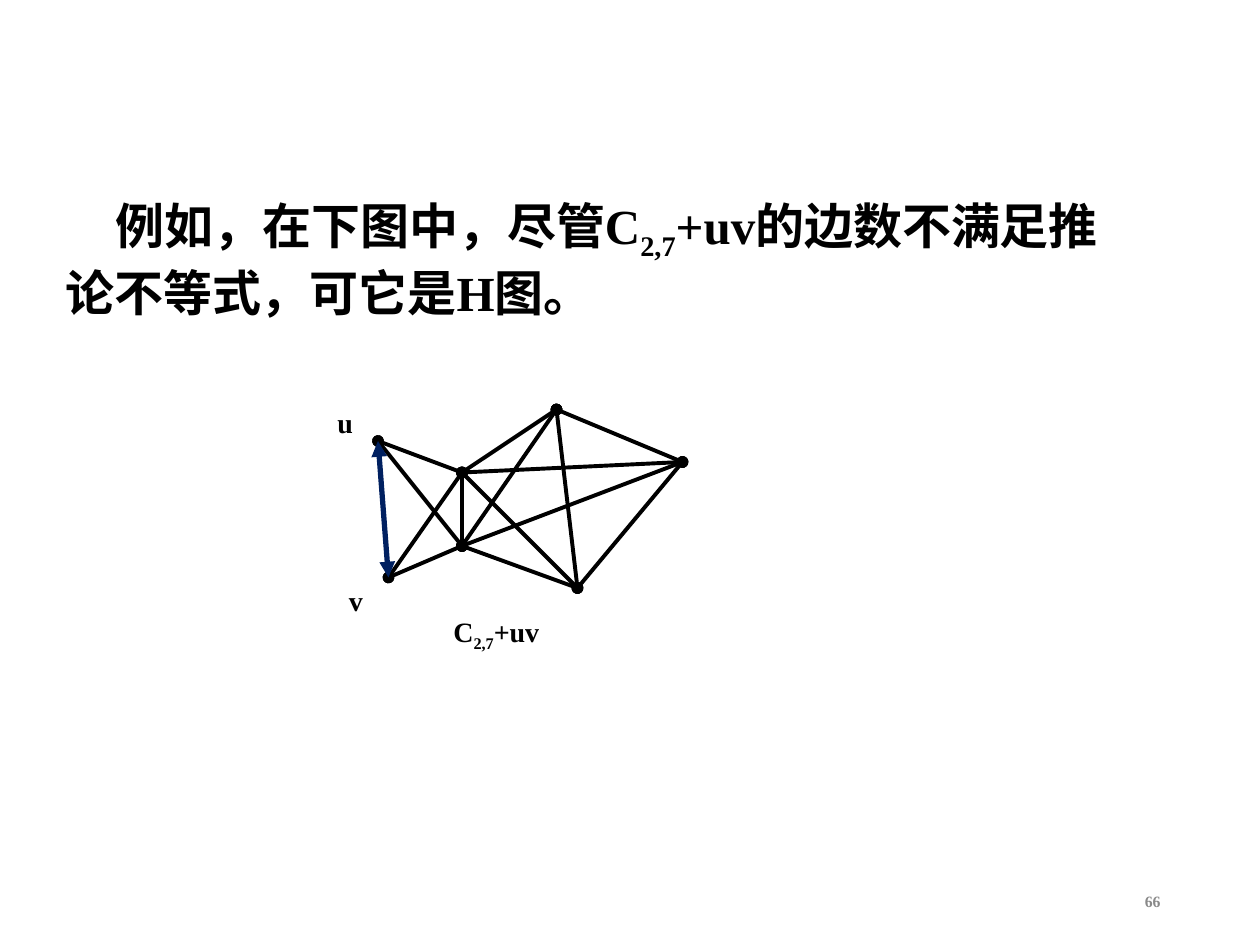
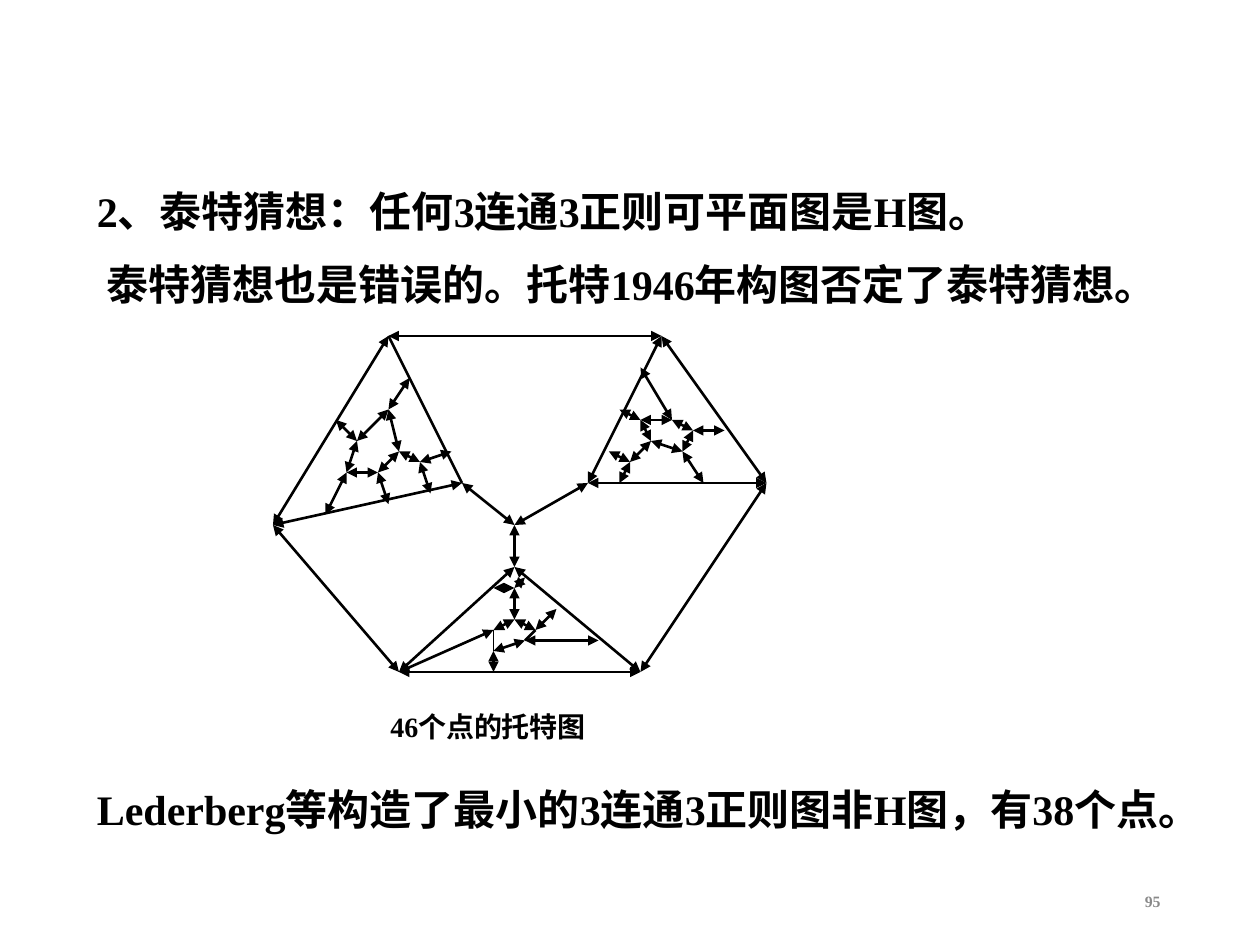
"""Build two slides on Hamiltonian graphs: C2,7+uv and the 46-vertex Tutte graph."""
from lxml import etree
from pptx import Presentation
from pptx import util as u
from pptx.dml.color import RGBColor
from pptx.enum import shapes, text
from pptx.oxml.ns import qn

COLORS = {"ink": "000000", "highlight": "002060", "number": "898989"}
FONT = "Times New Roman"
GRID = 12

C27_VERTICES = {
    "u": (36, 42), "v": (37, 55), "hub_up": (44, 45), "hub_low": (44, 52),
    "top": (53, 39), "right": (65, 44), "bottom": (55, 56),
}
C27_TRAILS = [
    ("u", "hub_up", "top", "right", "bottom", "hub_low", "v", "hub_up", "right", "hub_low", "u"),
    ("top", "bottom", "hub_up", "hub_low", "top"),
]

NW, NE, E, SE, SW, W = (37, 32), (63, 32), (73, 46), (61, 64), (38, 64), (26, 50)
LEFT, RIGHT, BOTTOM, CENTRE = (44, 46), (56, 46), (49, 54), (49, 50)
TUTTE_FRAME = [
    (NW, NE, E, SE, SW, W, NW),
    (W, LEFT, CENTRE, RIGHT, NE),
    (RIGHT, E),
    (CENTRE, BOTTOM, SW),
    (BOTTOM, SE),
]
LEFT_FRAGMENT = [
    ((32, 40), (34, 42), (37, 39), (38, 43), (36, 45), (33, 45), (34, 42)),
    ((37, 39), (39, 36)),
    ((38, 43), (40, 44), (43, 43)),
    ((40, 44), (41, 47)),
    ((36, 45), (37, 48)),
    ((33, 45), (31, 49)),
]
BOTTOM_FRAGMENT = [
    (SW, (47, 60), (49, 59), (51, 60), (53, 58)),
    ((47, 64), (47, 62), (50, 61), (57, 61)),
    ((49, 59), (49, 56), (47, 56)),
    ((49, 56), (50, 55)),
]
RIGHT_FRAGMENT = [
    ((58, 43), (60, 44), (62, 42), (61, 40), (64, 40), (66, 41), (69, 41)),
    ((60, 44), (59, 46)),
    ((62, 42), (65, 43), (66, 41)),
    ((65, 43), (67, 46)),
    ((61, 40), (59, 39)),
    ((64, 40), (61, 35)),
]


def write(frame, content, size=16, color="ink", align=None, indent=0):
    """Fill a text frame; parts between underscores become subscripts."""
    paragraph = frame.paragraphs[0]
    paragraph.alignment = align
    if indent:
        paragraph._p.get_or_add_pPr().set("indent", str(u.Inches(indent)))
    for index, part in enumerate(content.split("_")):
        run = paragraph.add_run()
        run.text = part
        run.font.name = FONT
        run.font.size = u.Pt(size)
        run.font.bold = True
        run.font.color.rgb = RGBColor.from_string(COLORS[color])
        if index % 2:
            run._r.get_or_add_rPr().set("baseline", "-25000")


class Deck:
    """Hold the presentation, its style and the current slide."""

    def __init__(self):
        """Start an empty 4:3 presentation."""
        self.show = Presentation()
        self.show.slide_width, self.show.slide_height = u.Inches(10), u.Inches(7.5)
        self.slide = None

    def page(self, number):
        """Add a blank slide with its page number."""
        self.slide = self.show.slides.add_slide(self.show.slide_layouts[6])
        frame = self.text((7.06, 6.95, 2.25, 0.4), str(number), grow=False,
                          size=9, color="number", align=text.PP_ALIGN.RIGHT)
        frame.vertical_anchor = text.MSO_ANCHOR.MIDDLE

    def text(self, place, content, grow=True, **style):
        """Add a wrapped text box."""
        frame = self.slide.shapes.add_textbox(*map(u.Inches, place)).text_frame
        frame.word_wrap = True
        frame.auto_size = text.MSO_AUTO_SIZE.SHAPE_TO_FIT_TEXT if grow else text.MSO_AUTO_SIZE.NONE
        write(frame, content, **style)
        return frame

    def edge(self, start, end, width=1.5, color="ink", tip=None):
        """Join two grid points, with the same tip at both ends."""
        places = [u.Inches(step / GRID) for step in (*start, *end)]
        edge = self.slide.shapes.add_connector(shapes.MSO_CONNECTOR.STRAIGHT, *places)
        edge.line.width = u.Pt(width)
        edge.line.color.rgb = RGBColor.from_string(COLORS[color])
        if tip:
            outline = edge.line._get_or_add_ln()
            for tag in ("a:headEnd", "a:tailEnd"):
                etree.SubElement(outline, qn(tag)).set("type", tip)
        etree.SubElement(edge._element.spPr, qn("a:effectLst"))

    def trails(self, trails, **style):
        """Draw the edges along each trail of points."""
        for trail in trails:
            for start, end in zip(trail, trail[1:]):
                self.edge(start, end, **style)


def c27_slide(deck):
    """Show C2,7+uv, with the added edge highlighted."""
    deck.page(66)
    deck.text((0.42, 1.5, 8.67, 1.1),
              "例如，在下图中，尽管C_2,7_+uv的边数不满足推论不等式，可它是H图。",
              size=28, indent=0.4)
    trails = [[C27_VERTICES[name] for name in trail] for trail in C27_TRAILS]
    deck.trails(trails, width=2.25, tip="oval")
    deck.edge(C27_VERTICES["u"], C27_VERTICES["v"], width=3, color="highlight", tip="triangle")
    deck.text((2.58, 3.17, 0.52, 0.37), "u")
    deck.text((2.67, 4.58, 0.52, 0.37), "v")
    deck.text((3.5, 4.83, 1.25, 0.41), "C_2,7_+uv")


def tutte_slide(deck):
    """Show the Tutte graph that refutes Tait's conjecture."""
    deck.page(95)
    deck.text((0.42, 1.42, 8.58, 0.5), "2、泰特猜想：任何3连通3正则可平面图是H图。",
              size=24, indent=0.25)
    deck.text((0.58, 2, 9, 0.5), "泰特猜想也是错误的。托特1946年构图否定了泰特猜想。",
              size=24, indent=0.17)
    for part in (TUTTE_FRAME, LEFT_FRAGMENT, BOTTOM_FRAGMENT, RIGHT_FRAGMENT):
        deck.trails(part, tip="triangle")
    deck.trails([(NW, LEFT), ((51, 60), (50, 61))])
    deck.edge((47, 60), (47, 62), width=0.75)
    deck.text((3, 5.58, 2.6, 0.37), "46个点的托特图")
    deck.text((0.42, 6.17, 9.58, 0.9),
              "Lederberg等构造了最小的3连通3正则图非H图，有38个点。", size=24, indent=0.25)


def main():
    """Build and save both slides."""
    deck = Deck()
    c27_slide(deck)
    tutte_slide(deck)
    deck.show.save("out.pptx")


if __name__ == "__main__":
    main()
